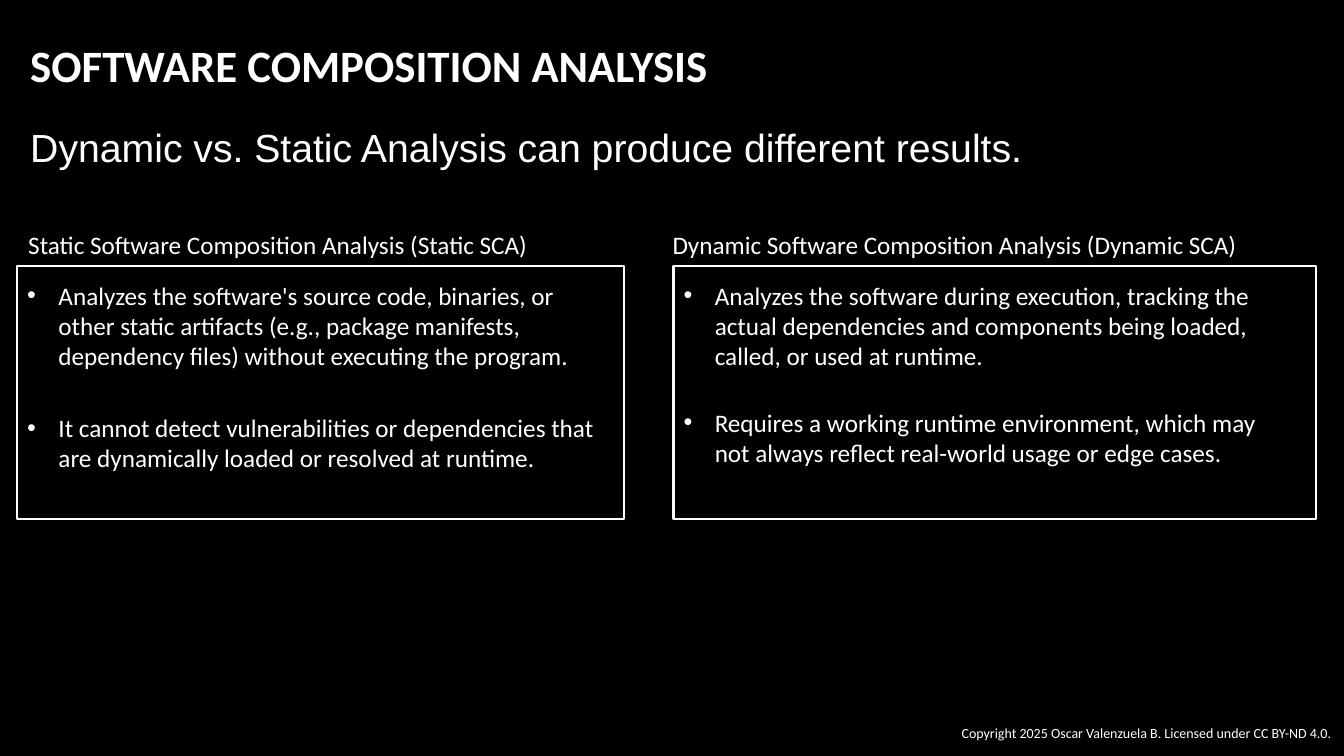
from lxml import etree
from pptx import Presentation, util as u
from pptx.dml import color
from pptx.enum import shapes, text
from pptx.oxml import ns

WIDTH, HEIGHT = u.Inches(13.33), u.Inches(7.5)
WHITE, BLACK = "FFFFFF", "000000"
BOX_TOP, BOX_HEIGHT = 35.2, 33.47
HEADING_TOP, HEADING_HEIGHT = 29.73, 5.33
FIRST_BULLET_TOP = 36.4
BULLET_INDENT = u.Inches(0.31)

COLUMNS = [
    {
        "box": (1.28, 45.16),
        "heading": (2.1, 43.29, "Static Software Composition Analysis (Static SCA)"),
        "bullets": (2.03, 43.44),
        "points": [
            (FIRST_BULLET_TOP, "Analyzes the software's source code, binaries, or other static artifacts "
             "(e.g., package manifests, dependency files) without executing the program."),
            (53.87, "It cannot detect vulnerabilities or dependencies that are dynamically "
             "loaded or resolved at runtime."),
        ],
    },
    {
        "box": (50.11, 47.79),
        "heading": (50.04, 48.39, "Dynamic Software Composition Analysis (Dynamic SCA)"),
        "bullets": (50.86, 46.21),
        "points": [
            (FIRST_BULLET_TOP, "Analyzes the software during execution, tracking the actual dependencies "
             "and components being loaded, called, or used at runtime."),
            (53.2, "Requires a working runtime environment, which may not always reflect "
             "real-world usage or edge cases."),
        ],
    },
]


def rgb(value):
    return color.RGBColor.from_string(value)


def place(left, top, width, height):
    return (int(WIDTH * left / 100), int(HEIGHT * top / 100),
            int(WIDTH * width / 100), int(HEIGHT * height / 100))


def add_text(slide, area, words, size, font="Calibri", bold=False,
             align=text.PP_ALIGN.LEFT, anchor=text.MSO_ANCHOR.TOP):
    frame = slide.shapes.add_textbox(*place(*area)).text_frame
    frame.word_wrap = True
    frame.margin_left = 0
    frame.vertical_anchor = anchor
    paragraph = frame.paragraphs[0]
    paragraph.text = words
    paragraph.alignment = align
    paragraph.font.name = font
    paragraph.font.size = u.Pt(size)
    paragraph.font.bold = bold
    paragraph.font.color.rgb = rgb(WHITE)
    return paragraph


def add_bullet(slide, area, words):
    paragraph = add_text(slide, area, words, 18)
    properties = paragraph._p.get_or_add_pPr()
    properties.set("marL", str(BULLET_INDENT))
    properties.set("indent", str(-BULLET_INDENT))
    bullet_font = etree.Element(ns.qn("a:buFont"), typeface="Arial")
    bullet = etree.Element(ns.qn("a:buChar"), char="•")
    properties.insert(0, bullet_font)
    bullet_font.addnext(bullet)


def add_box(slide, area):
    box = slide.shapes.add_shape(shapes.MSO_SHAPE.RECTANGLE, *place(*area))
    box.shadow.inherit = False
    box.fill.background()
    box.line.color.rgb = rgb(WHITE)
    box.line.width = u.Pt(1.5)


def add_column(slide, column):
    left, width = column["box"]
    add_box(slide, (left, BOX_TOP, width, BOX_HEIGHT))
    left, width, heading = column["heading"]
    add_text(slide, (left, HEADING_TOP, width, HEADING_HEIGHT), heading, 18)
    left, width = column["bullets"]
    for top, words in column["points"]:
        add_bullet(slide, (left, top, width, 13.47), words)


def main():
    presentation = Presentation()
    presentation.slide_width, presentation.slide_height = WIDTH, HEIGHT
    slide = presentation.slides.add_slide(presentation.slide_layouts[6])
    slide.background.fill.solid()
    slide.background.fill.fore_color.rgb = rgb(BLACK)

    title = add_text(slide, (2.25, 2.93, 72.17, 9.87), "SOFTWARE COMPOSITION ANALYSIS", 32,
                     bold=True, anchor=text.MSO_ANCHOR.BOTTOM)
    title.line_spacing = 0.9
    add_text(slide, (2.25, 15.6, 75.47, 7.6),
             "Dynamic vs. Static Analysis can produce different results.", 28, font="Arial")
    for column in COLUMNS:
        add_column(slide, column)
    add_text(slide, (0, 95.2, 100, 3.6),
             "Copyright 2025 Oscar Valenzuela B. Licensed under CC BY-ND 4.0. ", 10,
             align=text.PP_ALIGN.RIGHT)
    presentation.save("out.pptx")


if __name__ == "__main__":
    main()
